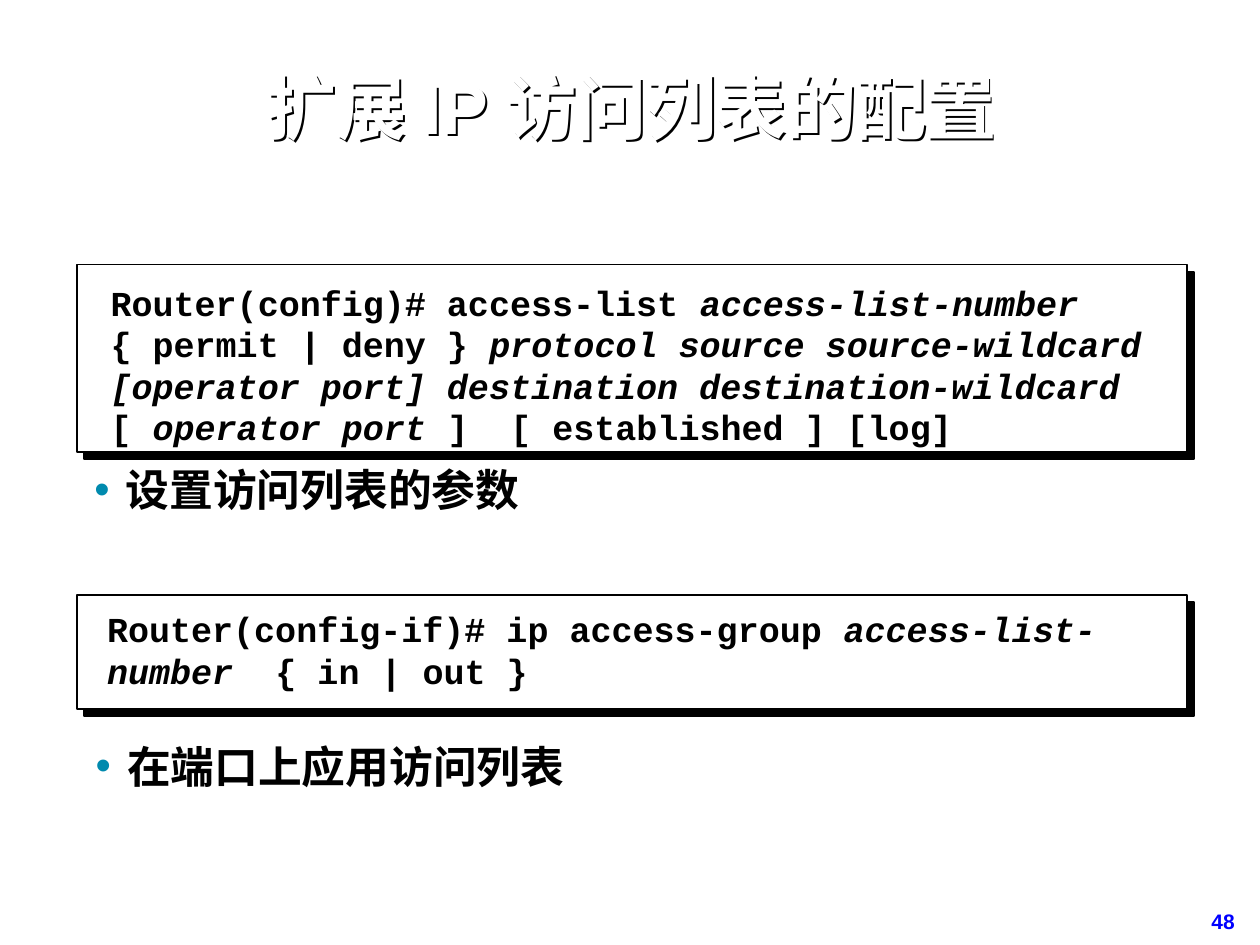
from lxml.etree import SubElement
from pptx import Presentation
from pptx.dml.color import RGBColor
from pptx.enum.shapes import MSO_SHAPE
from pptx.enum.text import MSO_ANCHOR, PP_ALIGN
from pptx.oxml.ns import qn
from pptx.util import Inches, Pt

COLORS = {"ink": "000000", "paper": "FFFFFF", "bullet": "008AAE", "number": "0000FF"}

TITLE = "扩展 IP 访问列表的配置"
PAGE_NUMBER = "48"
# Command spans are (text, italic)
CONFIG_COMMAND = [
    ("Router(config)# access-list ", False),
    ("access-list-number \n", True),
    ("{ permit | deny } ", False),
    ("protocol source source-wildcard [operator port] "
     "destination destination-wildcard ", True),
    ("[ ", False),
    ("operator port", True),
    (" ]  [ established ] [log]", False),
]
INTERFACE_COMMAND = [
    ("Router(config-if)# ip access-group ", False),
    ("access-list-number  ", True),
    ("{ in | out }", False),
]
PANEL_LEFT, PANEL_WIDTH = 0.61, 8.81
PANELS = [(2.1, 1.49), (4.72, 0.91)]  # top, height
COMMANDS = [
    (CONFIG_COMMAND, (0.78, 2.19, 8.46, 1.41), (0.1, 0.05), MSO_ANCHOR.MIDDLE),
    (INTERFACE_COMMAND, (0.83, 4.8, 8.41, 0.88), (0.02, 0.03), MSO_ANCHOR.TOP),
]
BULLETS = [
    ("设置访问列表的参数", (0.53, 3.66, 6.34, 0.6), 0.95),
    ("在端口上应用访问列表", (0.54, 5.83, 9, 0.68), 1.0),
]


def color(name):
    return RGBColor.from_string(COLORS[name])


def add_shadow(shape, distance):
    """Give a shape, or the text of an unfilled box, a solid lower-right shadow."""
    effects = SubElement(shape._element.spPr, qn("a:effectLst"))
    shadow = SubElement(effects, qn("a:outerShdw"), dist=str(Pt(distance)),
                        dir=str(45 * 60000), algn="ctr", rotWithShape="0")
    SubElement(shadow, qn("a:srgbClr"), val=COLORS["ink"])


def add_bullet(para):
    properties = para._p.get_or_add_pPr()
    properties.set("marL", str(Inches(0.38)))
    properties.set("indent", str(Inches(-0.25)))
    bullet_color = SubElement(properties, qn("a:buClr"))
    SubElement(bullet_color, qn("a:srgbClr"), val=COLORS["bullet"])
    SubElement(properties, qn("a:buFont"), typeface="Arial")
    SubElement(properties, qn("a:buChar"), char="•")


def add_text(page, content, place, *, size, font="Arial", fill="ink",
             align=PP_ALIGN.LEFT, anchor=MSO_ANCHOR.TOP, insets=(0.09, 0.04),
             spacing=None, bullet=False):
    box = page.shapes.add_textbox(*map(Inches, place))
    frame = box.text_frame
    frame.word_wrap = True
    frame.vertical_anchor = anchor
    frame.margin_left = frame.margin_right = Inches(insets[0])
    frame.margin_top = frame.margin_bottom = Inches(insets[1])
    para = frame.paragraphs[0]
    para.alignment = align
    if spacing:
        para.line_spacing = spacing
    if bullet:
        add_bullet(para)
    spans = [(content, False)] if isinstance(content, str) else content
    for text, italic in spans:
        span = para.add_run()
        span.text = text.rstrip("\n")
        span.font.name = font
        span.font.size = Pt(size)
        span.font.bold = True
        span.font.italic = italic
        span.font.color.rgb = color(fill)
        if text.endswith("\n"):
            para.add_line_break()
    return box


def add_panel(page, top, height):
    panel = page.shapes.add_shape(
        MSO_SHAPE.RECTANGLE,
        *map(Inches, (PANEL_LEFT, top, PANEL_WIDTH, height)))
    panel.fill.solid()
    panel.fill.fore_color.rgb = color("paper")
    panel.line.color.rgb = color("ink")
    panel.line.width = Pt(1)
    add_shadow(panel, 5.7)


def main():
    deck = Presentation()
    deck.slide_width, deck.slide_height = Inches(10), Inches(7.5)
    page = deck.slides.add_slide(deck.slide_layouts[6])

    add_text(page, PAGE_NUMBER, (8.9, 7.17, 0.99, 0.29), size=12,
             fill="number", align=PP_ALIGN.RIGHT)
    title = add_text(page, TITLE, (0.84, 0.26, 8.34, 1.25), size=40,
                     fill="paper", align=PP_ALIGN.CENTER,
                     anchor=MSO_ANCHOR.MIDDLE, spacing=0.9)
    add_shadow(title, 1.6)
    for top, height in PANELS:
        add_panel(page, top, height)
    for spans, place, insets, anchor in COMMANDS:
        add_text(page, spans, place, size=20, font="Courier New",
                 insets=insets, anchor=anchor, spacing=Pt(23.6))
    for text, place, spacing in BULLETS:
        add_text(page, text, place, size=25, spacing=spacing, bullet=True)

    deck.save("out.pptx")


if __name__ == "__main__":
    main()
